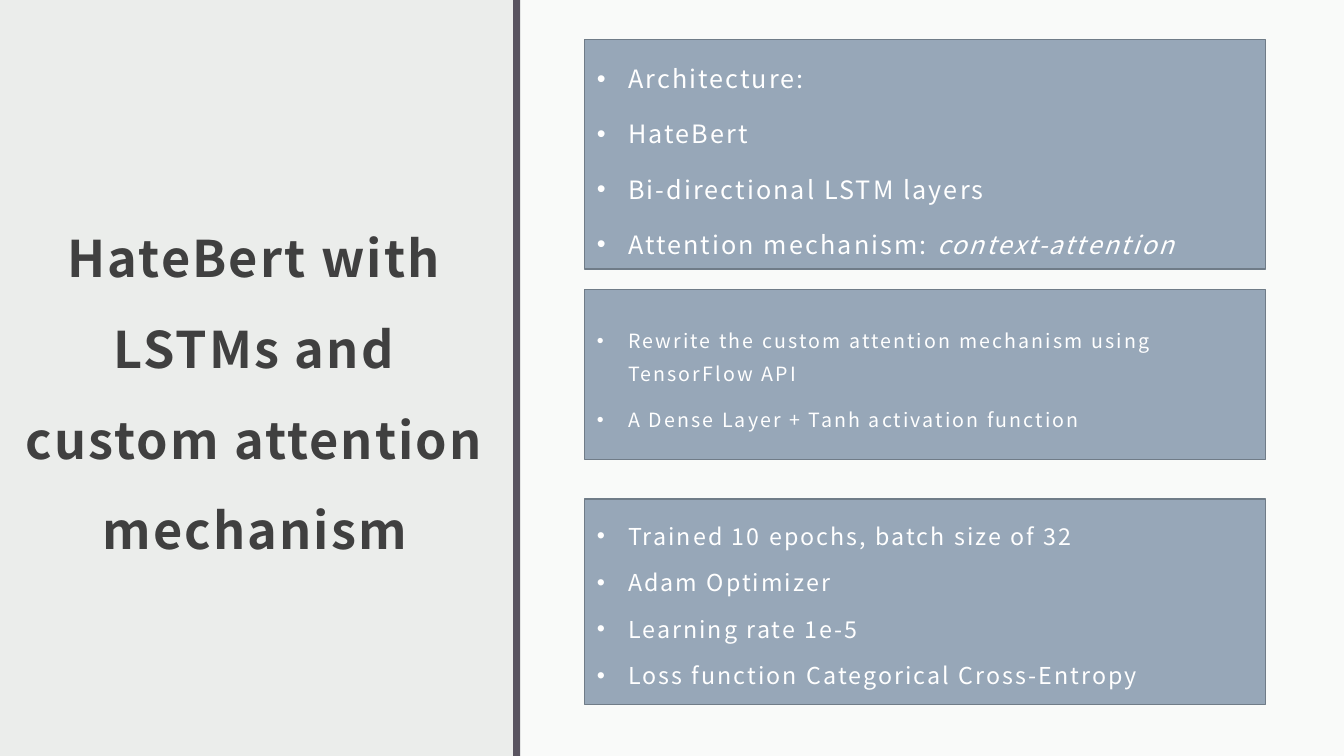
from dataclasses import dataclass

import pptx
import pptx.dml.color
import pptx.enum.shapes
import pptx.enum.text
import pptx.oxml
import pptx.oxml.ns
import pptx.util
from pptx.util import Inches

FONT = "Noto Sans CJK JP"
HUES = {
    "back": "EBEDEB",
    "panel": "FFFFFF",
    "bar": "595460",
    "card": "97A7B8",
    "edge": "707C88",
    "title": "404040",
    "text": "FFFFFF",
}
LEFT, WIDTH = 5.8, 6.75
DENT = 0.31


@dataclass
class Run:
    text: str
    slant: bool = False


@dataclass
class Card:
    top: float
    height: float
    size: float
    lead: float
    items: list[list[Run]]


CARDS = [
    Card(0.39, 2.28, 18, 1.4, [
        [Run("Architecture:")],
        [Run("HateBert")],
        [Run("Bi-directional LSTM layers")],
        [Run("Attention mechanism: "), Run("context-attention", True)],
    ]),
    Card(2.87, 1.69, 14, 1.4, [
        [Run("Rewrite the custom attention mechanism using TensorFlow API")],
        [Run("A Dense Layer + Tanh activation function")],
    ]),
    Card(4.95, 2.04, 16.6, 1.2, [
        [Run("Trained 10 epochs, batch size of 32")],
        [Run("Adam Optimizer")],
        [Run("Learning rate 1e-5")],
        [Run("Loss function Categorical Cross-Entropy")],
    ]),
]


def tint(name: str) -> pptx.dml.color.RGBColor:
    return pptx.dml.color.RGBColor.from_string(HUES[name])


def add_box(slide, left: float, top: float, width: float, height: float, hue: str):
    box = slide.shapes.add_shape(
        pptx.enum.shapes.MSO_SHAPE.RECTANGLE,
        Inches(left), Inches(top), Inches(width), Inches(height))
    box.shadow.inherit = False
    box.fill.solid()
    box.fill.fore_color.rgb = tint(hue)
    box.line.fill.background()
    return box


def fade(box, share: int) -> None:
    color = box.fill._xPr.find(".//" + pptx.oxml.ns.qn("a:srgbClr"))
    color.append(pptx.oxml.parse_xml(
        f'<a:alpha {pptx.oxml.ns.nsdecls("a")} val="{share * 1000}"/>'))


def set_frame(frame) -> None:
    frame.word_wrap = True
    frame.vertical_anchor = pptx.enum.text.MSO_ANCHOR.MIDDLE
    frame.margin_left = frame.margin_right = frame.margin_top = Inches(0.12)
    frame.margin_bottom = Inches(0.1)


def add_run(para, part: Run, size: float, hue: str, bold: bool = False) -> None:
    run = para.add_run()
    run.text = part.text
    run.font.name = FONT
    run.font.size = pptx.util.Pt(size)
    run.font.color.rgb = tint(hue)
    run.font.bold = bold
    run.font.italic = part.slant
    run._r.get_or_add_rPr().set("spc", "150")


def set_dot(para) -> None:
    props = para._p.get_or_add_pPr()
    props.set("marL", str(Inches(DENT)))
    props.set("indent", str(-Inches(DENT)))
    space = pptx.oxml.ns.nsdecls("a")
    props.append(pptx.oxml.parse_xml(f'<a:buFont {space} typeface="Arial"/>'))
    props.append(pptx.oxml.parse_xml(f'<a:buChar {space} char="•"/>'))


def add_title(slide, text: str) -> None:
    box = slide.shapes.add_textbox(
        Inches(0), Inches(0.86), Inches(5.06), Inches(5.77))
    set_frame(box.text_frame)
    para = box.text_frame.paragraphs[0]
    para.alignment = pptx.enum.text.PP_ALIGN.CENTER
    para.line_spacing = 1.5
    add_run(para, Run(text), 36, "title", True)


def add_card(slide, card: Card) -> None:
    box = add_box(slide, LEFT, card.top, WIDTH, card.height, "card")
    box.line.color.rgb = tint("edge")
    box.line.width = pptx.util.Pt(1)
    frame = box.text_frame
    set_frame(frame)
    for spot, item in enumerate(card.items):
        para = frame.add_paragraph() if spot else frame.paragraphs[0]
        para.alignment = pptx.enum.text.PP_ALIGN.LEFT
        para.line_spacing = card.lead
        para.space_before = pptx.util.Pt(9.3)
        set_dot(para)
        for part in item:
            add_run(para, part, card.size, "text")


def main() -> None:
    deck = pptx.Presentation()
    deck.slide_width, deck.slide_height = Inches(13.33), Inches(7.5)
    slide = deck.slides.add_slide(deck.slide_layouts[6])

    # Background, pale panel and divider
    slide.background.fill.solid()
    slide.background.fill.fore_color.rgb = tint("back")
    fade(add_box(slide, 5.16, 0, 8.17, 7.5, "panel"), 75)
    add_box(slide, 5.09, 0, 0.07, 7.5, "bar")

    # Title on the left, cards on the right
    add_title(slide, "HateBert with LSTMs and custom attention mechanism")
    for card in CARDS:
        add_card(slide, card)

    deck.save("out.pptx")


if __name__ == "__main__":
    main()
